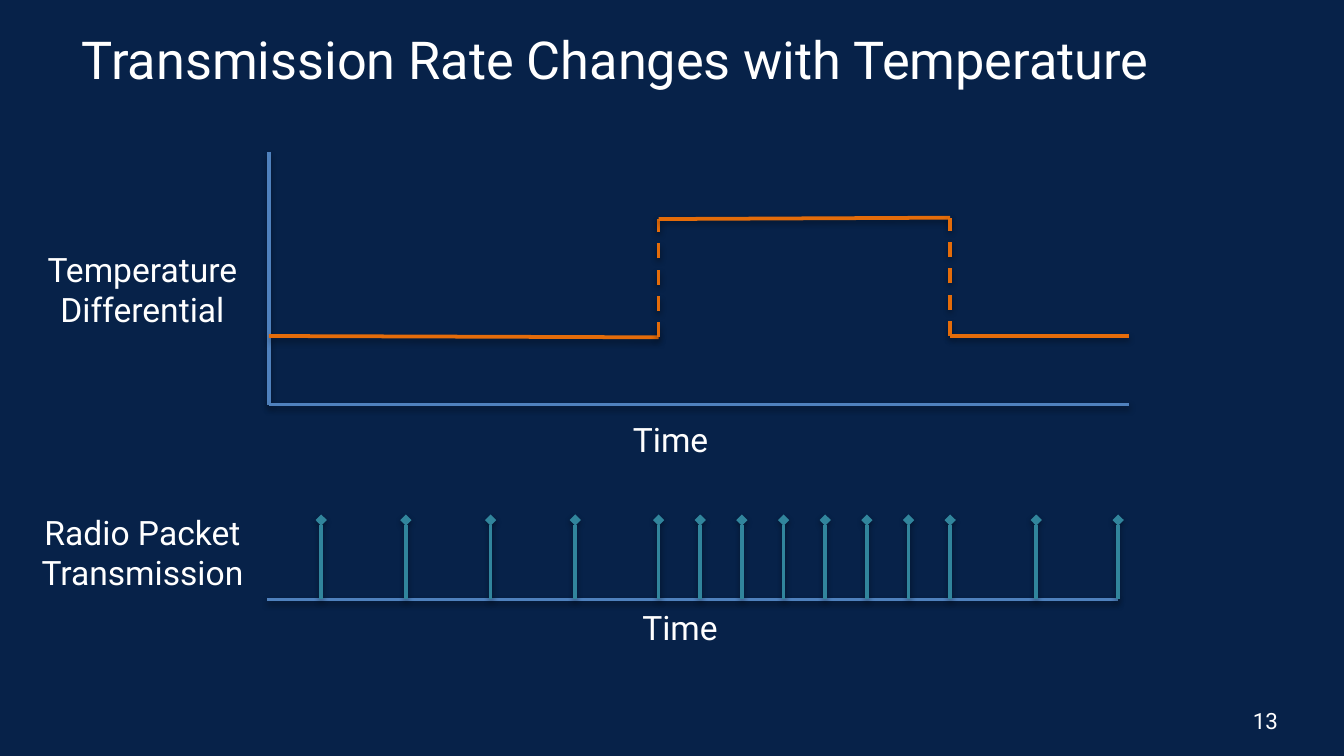
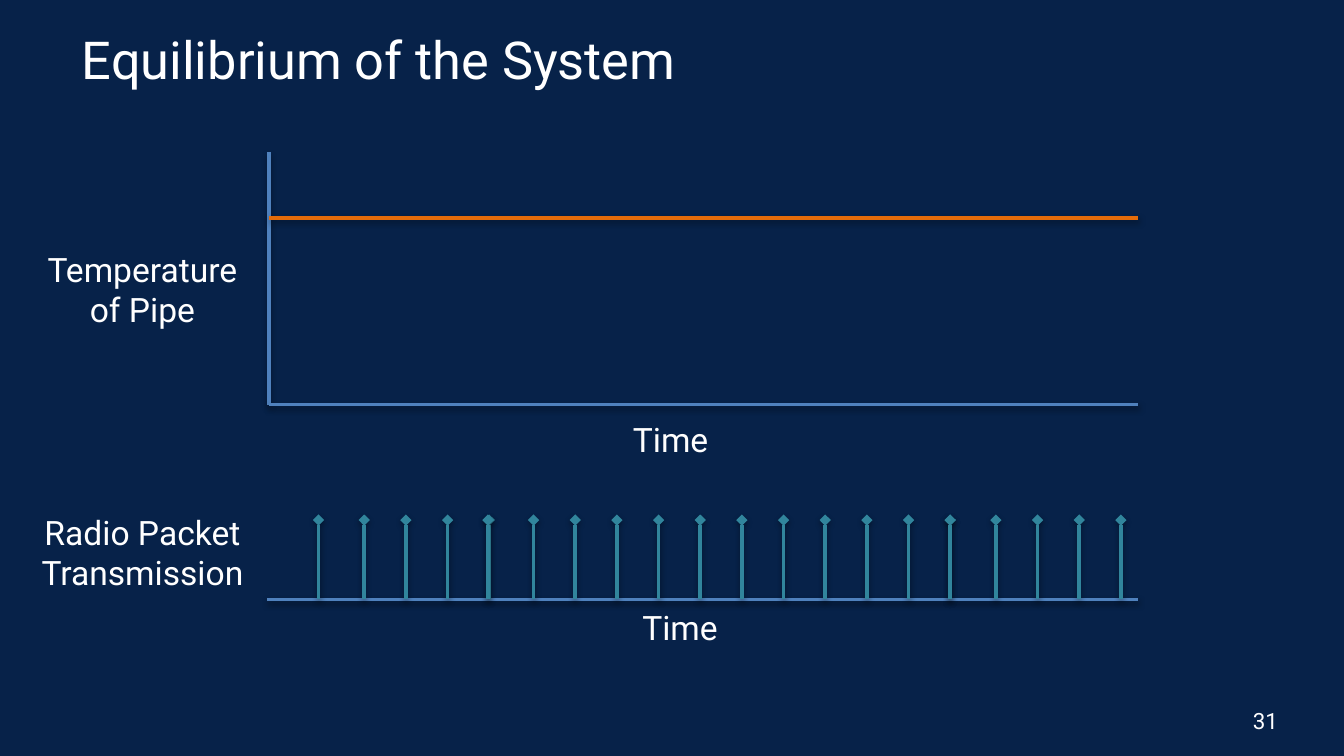
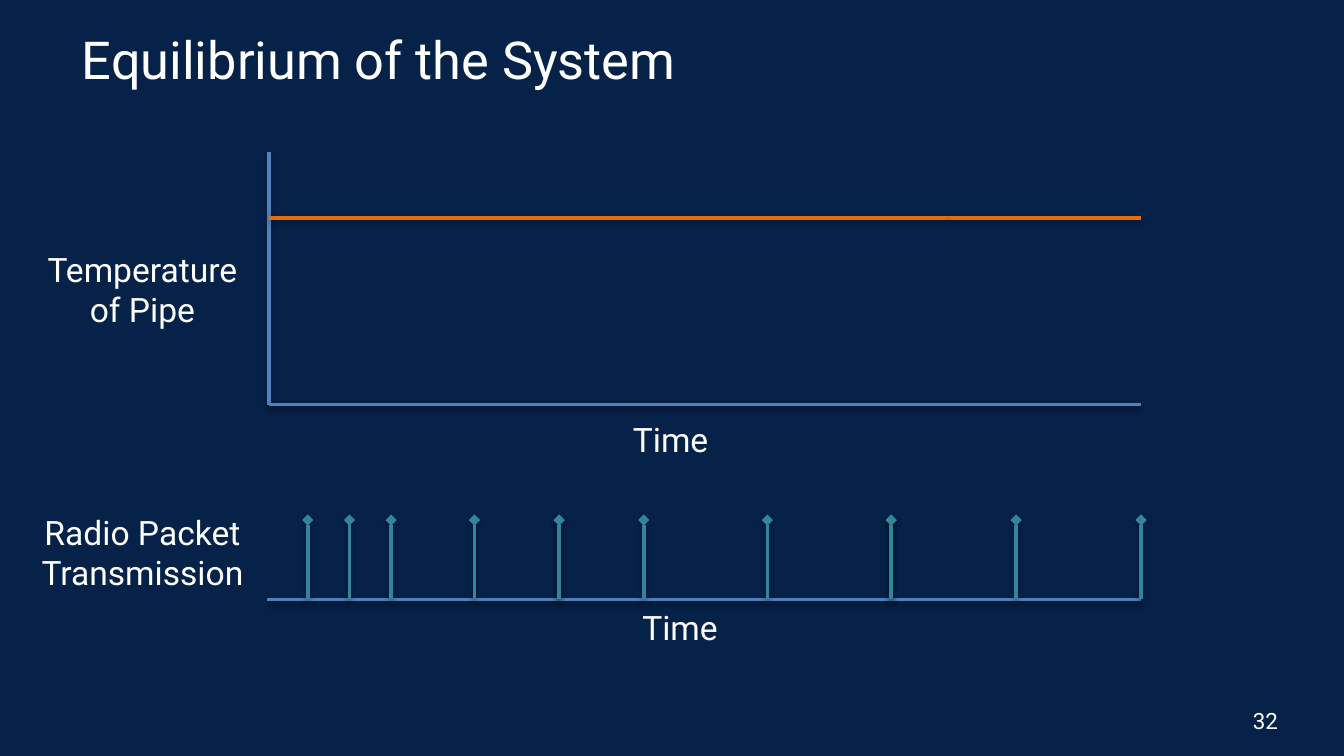
from pptx import Presentation
from pptx.dml.color import RGBColor
from pptx.enum.dml import MSO_LINE
from pptx.enum.shapes import MSO_CONNECTOR
from pptx.enum.text import MSO_ANCHOR, MSO_AUTO_SIZE, PP_ALIGN
from pptx.oxml import parse_xml
from pptx.oxml.ns import nsdecls, qn
from pptx.util import Inches, Pt

STRAIGHT = MSO_CONNECTOR.STRAIGHT
DASH = MSO_LINE.DASH
LEFT, CENTER, RIGHT = PP_ALIGN.LEFT, PP_ALIGN.CENTER, PP_ALIGN.RIGHT
TOP, MIDDLE = MSO_ANCHOR.TOP, MSO_ANCHOR.MIDDLE
NO_FIT, GROW = MSO_AUTO_SIZE.NONE, MSO_AUTO_SIZE.SHAPE_TO_FIT_TEXT

FONT = "Roboto"
COLORS = {"background": "072249", "text": "FFFFFF", "axis": "4F81BD",
          "temperature": "E46C0A", "packet": "31859C"}

prs = Presentation()
prs.slide_width, prs.slide_height = Inches(10), Inches(5.625)
UNIT = prs.slide_width // 100  # the slide is a grid of 100 columns

# Grid lines of the two graphs
AXIS_X, AXIS_TOP, AXIS_Y = 20, 11.3, 30.1
HIGH, LOW = 16.2, 25
RISE, FALL = 49, 70.7
PACKET_TOP, PACKET_Y = 38.7, 44.6

# Each curve is (x1, y1, x2, y2, dashed); each packet run is (first, gap, count)
SLIDES = [
    {"title": "Transmission Rate Changes with Temperature", "number": "13",
     "label": "Temperature\vDifferential", "time_end": 84, "packet_end": 83.2,
     "curve": [(AXIS_X, LOW, RISE, LOW + 0.1, False),
               (RISE, LOW + 0.1, RISE, HIGH + 0.1, True),
               (RISE, HIGH + 0.1, FALL, HIGH, False),
               (FALL, LOW, FALL, HIGH, True),
               (FALL, LOW, 84, LOW, False)],
     "packets": [(23.9, 6.3, 4), (RISE, 3.1, 8), (77.1, 6.1, 2)]},
    {"title": "Equilibrium of the System", "number": "31",
     "label": "Temperature\vof Pipe", "time_end": 84.7, "packet_end": 84.7,
     "curve": [(AXIS_X, HIGH, 84.7, HIGH, False)],
     "packets": [(23.7, 3.4, 2), (30.2, 3.1, 3), (39.7, 3.1, 11),
                 (36.3, 3.1, 1), (FALL, 3.4, 2), (77.2, 3.1, 3)]},
    {"title": "Equilibrium of the System", "number": "32",
     "label": "Temperature\vof Pipe", "time_end": 84.9, "packet_end": 84.9,
     "curve": [(AXIS_X, HIGH, FALL, HIGH, False),
               (FALL, HIGH, 84.9, HIGH, False)],
     "packets": [(22.9, 3.1, 3), (35.3, 6.3, 2), (41.6, 6.3, 2),
                 (57.1, 9.2, 2), (66.3, 9.3, 3)]},
]


def put_text(sp, box, text, size, align, anchor=TOP, fit=GROW):
    """Place a text shape on the grid and style its text."""
    sp.left, sp.top, sp.width, sp.height = [round(v * UNIT) for v in box]
    tf = sp.text_frame
    tf.text = text
    tf.word_wrap, tf.auto_size, tf.vertical_anchor = True, fit, anchor
    for p in tf.paragraphs:
        p.alignment = align
        for r in p.runs:
            r.font.name, r.font.size = FONT, Pt(size)
            r.font.color.rgb = RGBColor.from_string(COLORS["text"])
    return tf


def draw_line(s, x1, y1, x2, y2, color):
    """Draw a line between two grid points; the theme gives its soft shadow."""
    c = s.shapes.add_connector(STRAIGHT, *[round(v * UNIT) for v in (x1, y1, x2, y2)])
    c.line.color.rgb = RGBColor.from_string(COLORS[color])
    c.line.width = Pt(2)
    return c


# Shared background
fill = prs.slide_master.background.fill
fill.solid()
fill.fore_color.rgb = RGBColor.from_string(COLORS["background"])

for data in SLIDES:
    s = prs.slides.add_slide(prs.slide_layouts[5])

    # Title and slide number
    put_text(s.shapes.title, (5.1, 1.5, 90, 6.6), data["title"], 28, LEFT, fit=NO_FIT)
    tf = put_text(s.shapes.add_textbox(0, 0, 0, 0), (72.6, 52.1, 22.5, 3),
                  data["number"], 12, RIGHT, MIDDLE, NO_FIT)
    tf.word_wrap = False
    tf.margin_left = tf.margin_top = tf.margin_right = tf.margin_bottom = 0

    # Graph labels
    for box, text in [((38.2, 30.7, 23.4, 4), "Time"),
                      ((1.2, 18, 18.8, 7.1), data["label"]),
                      ((38.9, 44.7, 23.4, 4), "Time"),
                      ((1.2, 37.6, 18.8, 7.1), "Radio Packet\nTransmission")]:
        put_text(s.shapes.add_textbox(0, 0, 0, 0), box, text, 18, CENTER)

    # Axes
    draw_line(s, AXIS_X, AXIS_TOP, AXIS_X, AXIS_Y, "axis")
    draw_line(s, AXIS_X, AXIS_Y, data["time_end"], AXIS_Y, "axis")
    draw_line(s, AXIS_X - 0.1, PACKET_Y, data["packet_end"], PACKET_Y, "axis")

    # Temperature curve
    for x1, y1, x2, y2, dashed in data["curve"]:
        c = draw_line(s, x1, y1, x2, y2, "temperature")
        if dashed:
            c.line.dash_style = DASH

    # Radio packets
    for first, gap, count in data["packets"]:
        for i in range(count):
            x = first + i * gap
            c = draw_line(s, x, PACKET_Y, x, PACKET_TOP, "packet")
            ln = c._element.spPr.find(qn("a:ln"))
            ln.append(parse_xml(f'<a:tailEnd {nsdecls("a")} type="diamond"/>'))

prs.save("out.pptx")
